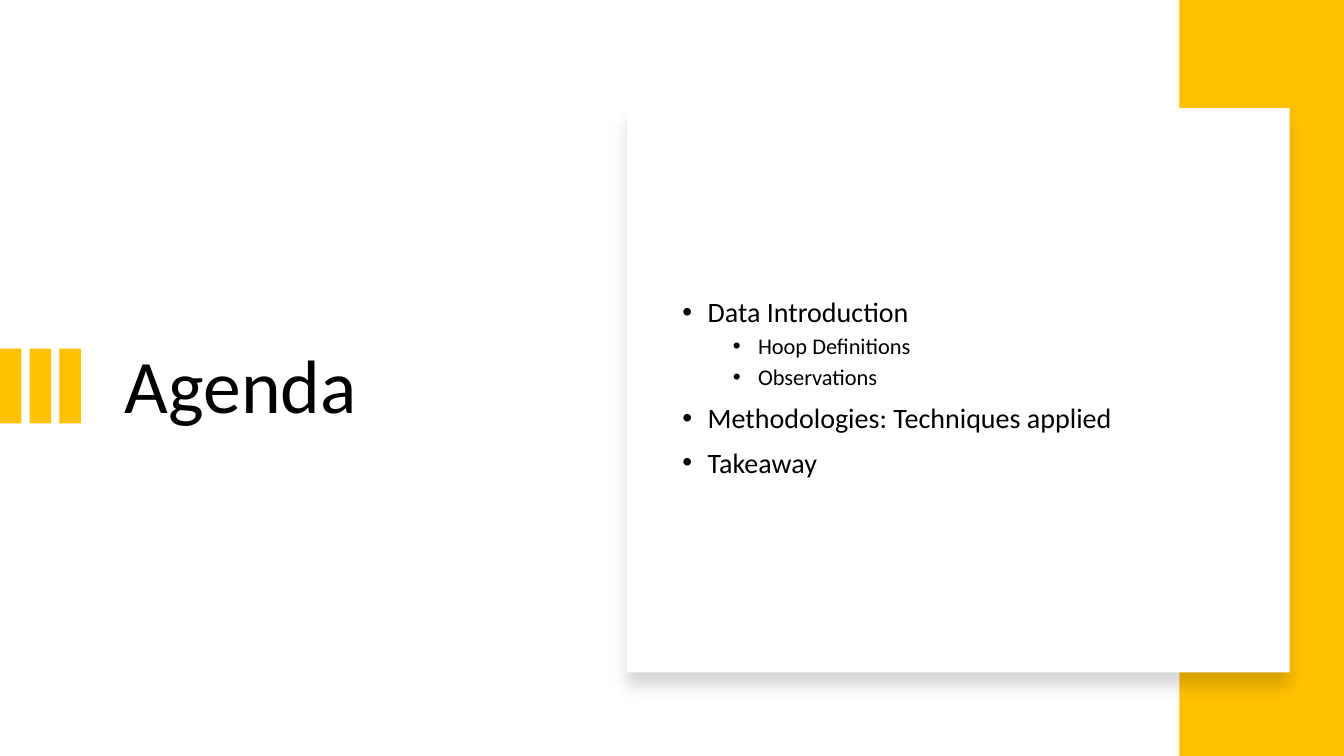
from lxml.etree import SubElement
from pptx import Presentation
from pptx.dml.color import RGBColor
from pptx.enum.shapes import MSO_SHAPE
from pptx.enum.text import MSO_ANCHOR
from pptx.oxml.ns import qn
from pptx.util import Inches, Pt

WIDTH, HEIGHT = Inches(13.33), Inches(7.5)
COLORS = {"gold": "FFC000", "white": "FFFFFF", "black": "000000"}
AGENDA = [
    ("Data Introduction", 0),
    ("Hoop Definitions", 1),
    ("Observations", 1),
    ("Methodologies: Techniques applied", 0),
    ("Takeaway", 0),
]
LEVELS = [(20, 10, 0.25), (16, 5, 0.75)]


def place(left, top, width, height):
    """Turn percent shares of the slide into lengths."""
    return [int(share * side / 100) for share, side in
            ((left, WIDTH), (top, HEIGHT), (width, WIDTH), (height, HEIGHT))]


def add_block(slide, box, color):
    """Add a plain filled rectangle."""
    block = slide.shapes.add_shape(MSO_SHAPE.RECTANGLE, *place(*box))
    block.shadow.inherit = False
    block.fill.solid()
    block.fill.fore_color.rgb = RGBColor.from_string(COLORS[color])
    block.line.fill.background()
    return block


def add_shade(block):
    """Cast a soft shadow straight down."""
    effects = block.element.spPr.find(qn("a:effectLst"))
    shade = SubElement(effects, qn("a:outerShdw"), blurRad=str(Pt(11)),
                       dist=str(Pt(10)), dir="5400000", algn="ctr", rotWithShape="0")
    color = SubElement(shade, qn("a:srgbClr"), val=COLORS["black"])
    SubElement(color, qn("a:alpha"), val="15000")


def add_frame(slide, box):
    """Add a wrapping text box centred on its height."""
    frame = slide.shapes.add_textbox(*place(*box)).text_frame
    frame.word_wrap = True
    frame.vertical_anchor = MSO_ANCHOR.MIDDLE
    return frame


def set_font(para, size):
    """Style a whole paragraph."""
    para.line_spacing = 0.9
    para.font.name = "Calibri"
    para.font.size = Pt(size)
    para.font.color.rgb = RGBColor.from_string(COLORS["black"])


def add_bullets(frame, items):
    """Fill a frame with bullets on two levels."""
    for index, (text, level) in enumerate(items):
        para = frame.paragraphs[0] if index == 0 else frame.add_paragraph()
        size, gap, indent = LEVELS[level]
        para.text = text
        para.level = level
        para.line_spacing = 0.9
        para.space_before = Pt(gap)
        props = para._p.get_or_add_pPr()
        props.set("marL", str(Inches(indent)))
        props.set("indent", str(Inches(-0.25)))
        SubElement(props, qn("a:buFont"), typeface="Arial")
        SubElement(props, qn("a:buChar"), char="•")
        set_font(para, size)


def main():
    """Build the agenda slide."""
    deck = Presentation()
    deck.slide_width, deck.slide_height = WIDTH, HEIGHT
    slide = deck.slides.add_slide(deck.slide_layouts[6])

    title = add_frame(slide, (8.55, 19.47, 31.96, 63.87)).paragraphs[0]
    title.text = "Agenda"
    set_font(title, 54)

    for bar in range(3):
        add_block(slide, (bar * 2.21, 46.13, 1.6, 9.87), "gold")
    add_block(slide, (87.75, 0, 12.25, 100), "gold")
    add_shade(add_block(slide, (46.66, 14.27, 49.29, 74.67), "white"))
    add_bullets(add_frame(slide, (50.04, 19.47, 43.14, 63.87)), AGENDA)

    deck.save("out.pptx")


if __name__ == "__main__":
    main()
